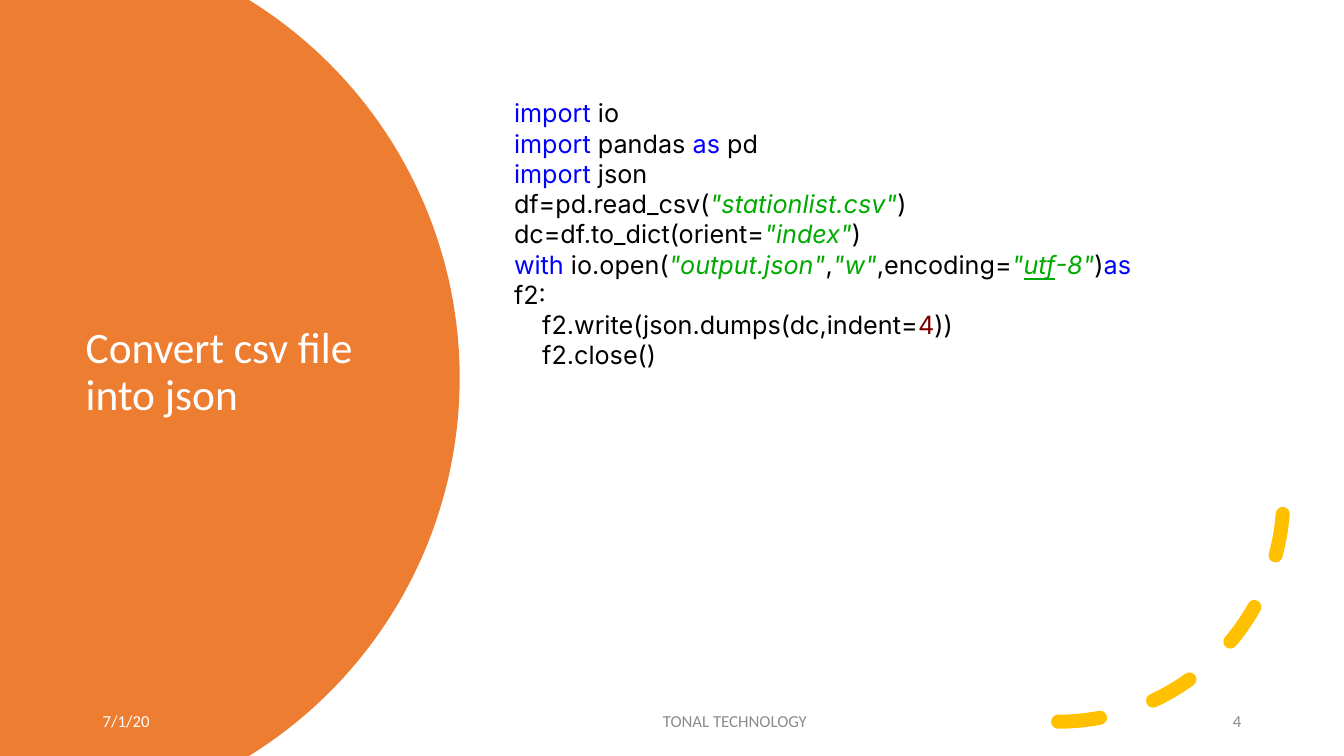
from dataclasses import dataclass
from math import asin, cos, sin

from pptx import Presentation
from pptx.dml.color import RGBColor
from pptx.enum.dml import MSO_LINE
from pptx.enum.shapes import MSO_SHAPE
from pptx.enum.text import MSO_ANCHOR, MSO_AUTO_SIZE, PP_ALIGN
from pptx.oxml.ns import qn
from pptx.util import Inches, Pt

ARC, DASH = MSO_SHAPE.ARC, MSO_LINE.DASH
MIDDLE, TOP = MSO_ANCHOR.MIDDLE, MSO_ANCHOR.TOP
LEFT, CENTER, RIGHT = PP_ALIGN.LEFT, PP_ALIGN.CENTER, PP_ALIGN.RIGHT
GROW = MSO_AUTO_SIZE.SHAPE_TO_FIT_TEXT
NO_RESIZE = MSO_AUTO_SIZE.NONE
TITLE_ONLY = 5


@dataclass(frozen=True)
class Theme:
    """Colours, fonts and type sizes of the slide."""
    orange: str = "ED7D31"
    gold: str = "FFC000"
    white: str = "FFFFFF"
    grey: str = "8C8C8C"
    black: str = "000000"
    keyword: str = "0000FF"
    string: str = "00AA00"
    number: str = "800000"
    body_font: str = "Calibri"
    code_font: str = "Inter"
    title_size: int = 31
    code_size: int = 18
    footer_size: int = 12
    arc_width: int = 10


THEME = Theme()
PLAIN = {"color": THEME.black}
KEYWORD = {"color": THEME.keyword}
STRING = {"color": THEME.string, "italic": True}
UNDERLINED = {**STRING, "underline": True}
NUMBER = {"color": THEME.number}

# Each line: indent in inches, then (text, style) pieces.
CODE = [
    (0, [("import ", KEYWORD), ("io", PLAIN)]),
    (0, [("import", KEYWORD), (" pandas ", PLAIN), ("as", KEYWORD), (" pd", PLAIN)]),
    (0, [("import", KEYWORD), (" json", PLAIN)]),
    (0, [("df=pd.read_csv(", PLAIN), ('"stationlist.csv"', STRING), (")", PLAIN)]),
    (0, [("dc=df.to_dict(orient=", PLAIN), ('"index"', STRING), (")", PLAIN)]),
    (0, [("with ", KEYWORD), ("io.open(", PLAIN), ('"output.json"', STRING),
         (",", PLAIN), ('"w"', STRING), (",encoding=", PLAIN), ('"', STRING),
         ("utf", UNDERLINED), ('-8"', STRING), (")", PLAIN), ("as", KEYWORD),
         (" f2:", PLAIN)]),
    (0.28, [("f2.write(json.dumps(dc,indent=", PLAIN), ("4", NUMBER), ("))", PLAIN)]),
    (0.28, [("f2.close()", PLAIN)]),
]

# Text, box, alignment and colour of each footer part.
FOOTERS = [
    ("7/1/20", (0.92, 6.95, 1.79, 0.4), LEFT, THEME.white),
    ("TONAL TECHNOLOGY", (4.42, 6.95, 5.74, 0.4), CENTER, THEME.grey),
    ("4", (10.43, 6.95, 1.98, 0.4), RIGHT, THEME.grey),
]


def apply_format(target, values):
    """Set every attribute in a dict of format values."""
    for name, value in values.items():
        setattr(target, name, value)


def add_run(paragraph, text, font, size, color, **values):
    """Append formatted text to a paragraph."""
    run = paragraph.add_run()
    run.text = text
    apply_format(run.font, {"name": font, "size": Pt(size), **values})
    run.font.color.rgb = RGBColor.from_string(color)


def add_text_frame(slide, box, anchor, auto_size=NO_RESIZE):
    """Add a wrapping text box and return its text frame."""
    frame = slide.shapes.add_textbox(*map(Inches, box)).text_frame
    apply_format(frame, {"word_wrap": True, "auto_size": auto_size,
                         "vertical_anchor": anchor})
    return frame


def add_orange_panel(slide, box, chord, steps=80):
    """Fill the box's left side, bulging right from the chord's x as a circle."""
    left, top, width, height = box
    half = height / 2
    bulge = width - chord
    radius = (half ** 2 + bulge ** 2) / (2 * bulge)
    center_x, center_y = left + width - radius, top + half
    sweep = asin(half / radius)
    angles = [sweep * (2 * step / steps - 1) for step in range(steps + 1)]
    edge = [(Inches(center_x + radius * cos(angle)),
             Inches(center_y + radius * sin(angle))) for angle in angles]
    builder = slide.shapes.build_freeform(Inches(left), Inches(top))
    builder.add_line_segments(edge + [(Inches(left), Inches(top + height))])
    panel = builder.convert_to_shape()
    panel.shadow.inherit = False
    panel.fill.solid()
    panel.fill.fore_color.rgb = RGBColor.from_string(THEME.orange)
    panel.line.fill.background()


def add_title(slide, box, text):
    """Place and format the title placeholder."""
    title = slide.shapes.title
    apply_format(title, dict(zip(("left", "top", "width", "height"),
                                 map(Inches, box))))
    apply_format(title.text_frame, {"word_wrap": True, "auto_size": NO_RESIZE,
                                    "vertical_anchor": MIDDLE})
    heading = title.text_frame.paragraphs[0]
    apply_format(heading, {"alignment": LEFT, "line_spacing": 0.9})
    add_run(heading, text, THEME.body_font, THEME.title_size, THEME.white)


def add_dashed_arc(slide, box):
    """Draw the round-capped quarter arc, flipped to the lower right."""
    arc = slide.shapes.add_shape(ARC, *map(Inches, box))
    arc.shadow.inherit = False
    arc.fill.background()
    arc.line.color.rgb = RGBColor.from_string(THEME.gold)
    apply_format(arc.line, {"width": Pt(THEME.arc_width), "dash_style": DASH})
    properties = arc._element.spPr
    properties.find(qn("a:xfrm")).set("flipV", "1")
    properties.find(qn("a:ln")).set("cap", "rnd")


def add_footer(slide, box, text, alignment, color):
    """Add one footer part."""
    footer = add_text_frame(slide, box, MIDDLE).paragraphs[0]
    apply_format(footer, {"alignment": alignment, "space_after": Pt(6)})
    add_run(footer, text, THEME.body_font, THEME.footer_size, color)


def add_code(slide, box, lines):
    """Add the coloured code, one paragraph a line."""
    frame = add_text_frame(slide, box, TOP, GROW)
    for index, (indent, pieces) in enumerate(lines):
        line = frame.add_paragraph() if index else frame.paragraphs[0]
        if indent:
            line._p.get_or_add_pPr().set("marL", str(Inches(indent)))
        for text, style in pieces:
            add_run(line, text, THEME.code_font, THEME.code_size, **style)


def build_code_slide(deck):
    """Build the slide with its title panel, code and footer."""
    slide = deck.slides.add_slide(deck.slide_layouts[TITLE_ONLY])
    add_orange_panel(slide, (0, 0, 4.56, 7.5), chord=2.47)
    add_title(slide, (0.75, 1.26, 3.5, 4.88), "Convert csv file into json")
    # The title comes first in the layout; bring it in front of the panel.
    slide.shapes._spTree.append(slide.shapes.title._element)
    add_dashed_arc(slide, (8.26, 2.69, 4.47, 4.47))
    for text, box, alignment, color in FOOTERS:
        add_footer(slide, box, text, alignment, color)
    add_code(slide, (5, 0.92, 6.67, 2.52), CODE)


def main():
    """Create and save the presentation."""
    deck = Presentation()
    deck.slide_width, deck.slide_height = Inches(13.33), Inches(7.5)
    build_code_slide(deck)
    deck.save("out.pptx")


main()
